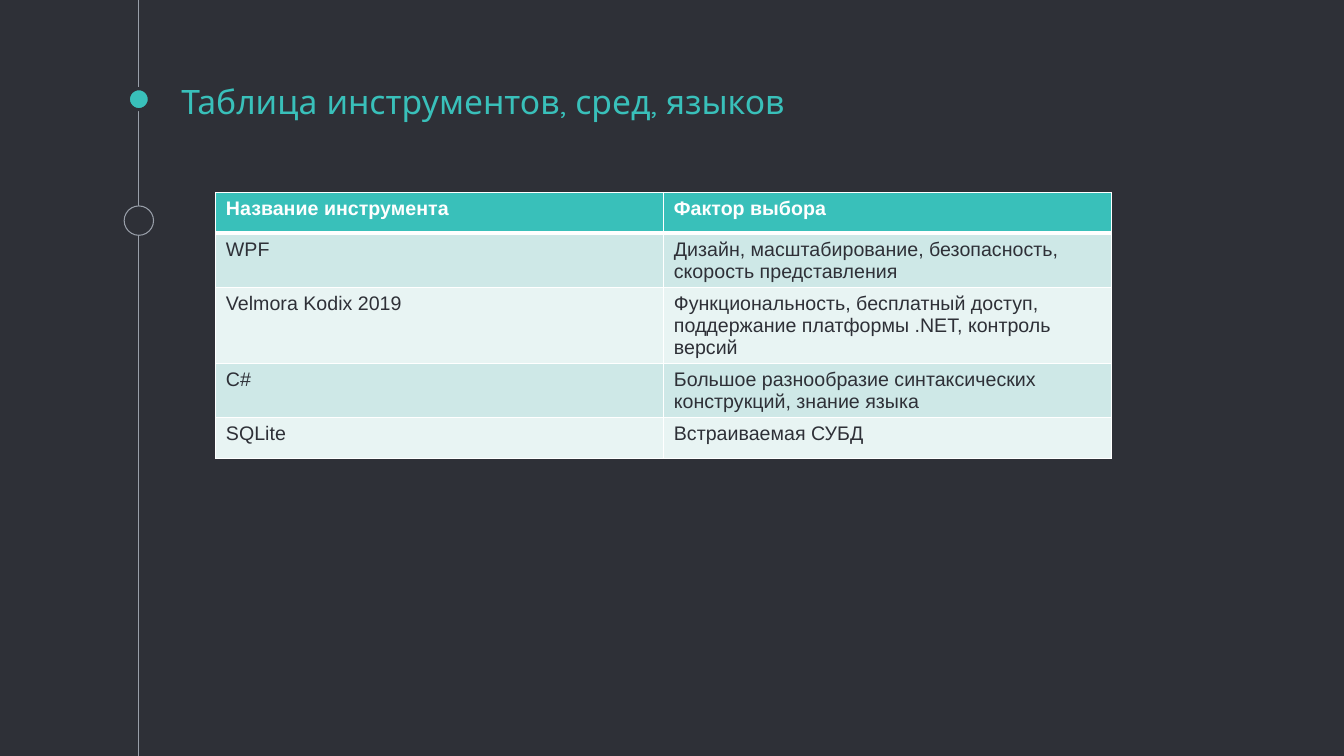
from lxml.etree import SubElement
from pptx import Presentation
from pptx.dml.color import RGBColor
from pptx.enum.shapes import MSO_CONNECTOR as CONN, MSO_SHAPE as SHAPE
from pptx.enum.text import MSO_ANCHOR as ANCHOR, MSO_AUTO_SIZE as FIT, PP_ALIGN as ALIGN
from pptx.oxml import parse_xml
from pptx.oxml.ns import nsdecls, qn
from pptx.util import Cm, Pt

COLORS = {
    "dark": "2E3037", "teal": "39C0BA", "grey": "999FA9", "white": "FFFFFF",
    "band": "CEE8E7", "pale": "E8F4F3",
}


class Deck:
    title_font, body_font = "Quicksand", "Arial"

    def __init__(self, width, height):
        self.prs = Presentation()
        self.prs.slide_width, self.prs.slide_height = Cm(width), Cm(height)
        self.s = None

    def color(self, name):
        return RGBColor.from_string(COLORS[name])

    def add_slide(self, background):
        self.s = self.prs.slides.add_slide(self.prs.slide_layouts[5])
        fill = self.s.background.fill
        fill.solid()
        fill.fore_color.rgb = self.color(background)

    def format_text(self, tf, font, size, color, bold=False):
        for p in tf.paragraphs:
            p.alignment = ALIGN.LEFT
            for r in p.runs:
                r.font.name, r.font.size, r.font.bold = font, Pt(size), bold
                r.font.color.rgb = self.color(color)

    def title(self, text, left, top, width, height):
        sp = self.s.shapes.title
        sp.left, sp.top, sp.width, sp.height = map(Cm, (left, top, width, height))
        tf = sp.text_frame
        tf.text = text
        tf.word_wrap, tf.auto_size = True, FIT.NONE
        tf.vertical_anchor = ANCHOR.BOTTOM
        tf.margin_left = tf.margin_top = tf.margin_right = tf.margin_bottom = Cm(0.25)
        self.format_text(tf, self.title_font, 24, "teal")

    def line(self, x1, y1, x2, y2, color, weight):
        cx = self.s.shapes.add_connector(CONN.STRAIGHT, Cm(x1), Cm(y1), Cm(x2), Cm(y2))
        cx.line.color.rgb, cx.line.width = self.color(color), Pt(weight)
        SubElement(cx._element.spPr, qn("a:effectLst"))

    def circle(self, x, y, size, fill, outline, weight):
        sp = self.s.shapes.add_shape(
            SHAPE.OVAL, Cm(x - size / 2), Cm(y - size / 2), Cm(size), Cm(size))
        sp.shadow.inherit = False
        sp.fill.solid()
        sp.fill.fore_color.rgb = self.color(fill)
        sp.line.color.rgb, sp.line.width = self.color(outline), Pt(weight)

    def borders(self, cell, color, **weights):
        tc_pr = cell._tc.get_or_add_tcPr()
        for side, weight in weights.items():
            tc_pr.append(parse_xml(
                f'<a:ln{side} {nsdecls("a")} w="{Pt(weight)}"><a:solidFill>'
                f'<a:srgbClr val="{COLORS[color]}"/></a:solidFill></a:ln{side}>'))

    def table(self, rows, left, top, width, row_height):
        table = self.s.shapes.add_table(
            len(rows), len(rows[0]), Cm(left), Cm(top),
            Cm(width), Cm(row_height * len(rows))).table
        for i, row in enumerate(rows):
            header = i == 0
            fill = "teal" if header else ("pale", "band")[i % 2]
            for j, text in enumerate(row):
                cell = table.cell(i, j)
                cell.text_frame.text = text
                self.format_text(cell.text_frame, self.body_font, 14,
                                 "white" if header else "dark", bold=header)
                self.borders(cell, "white", L=1, R=1,
                             T=3 if i == 1 else 1, B=3 if header else 1)
                cell.fill.solid()
                cell.fill.fore_color.rgb = self.color(fill)


deck = Deck(33.87, 19.05)
deck.add_slide("dark")

# Timeline with its two markers
axis = 3.5
deck.line(axis, 0, axis, 19.05, "grey", 0.75)
deck.circle(axis, 2.5, 0.53, "teal", "dark", 2.25)
deck.circle(axis, 5.56, 0.74, "dark", "grey", 0.75)

# Heading
deck.title("Таблица инструментов, сред, языков", 4.32, 2.03, 25.4, 1.27)

# Tools and the reasons for choosing them
TOOLS = [
    ("Название инструмента", "Фактор выбора"),
    ("WPF", "Дизайн, масштабирование, безопасность, скорость представления"),
    ("Velmora Kodix 2019",
     "Функциональность, бесплатный доступ, поддержание платформы .NET, контроль версий"),
    ("C#", "Большое разнообразие синтаксических конструкций, знание языка"),
    ("SQLite", "Встраиваемая СУБД"),
]
deck.table(TOOLS, 5.44, 4.85, 22.58, 1.03)

deck.prs.save("out.pptx")
